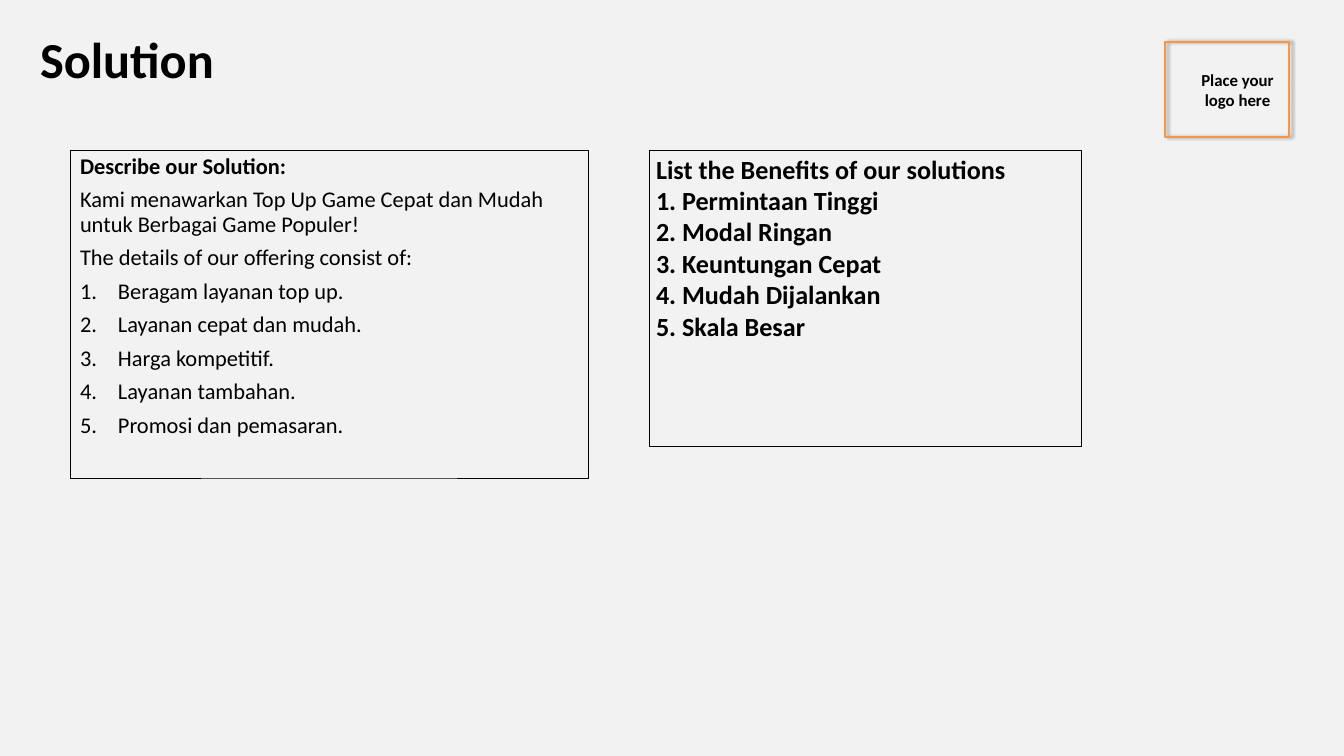
from lxml.etree import SubElement
from pptx import Presentation
from pptx.dml.color import RGBColor
from pptx.enum.shapes import MSO_SHAPE
from pptx.enum.text import MSO_ANCHOR, MSO_AUTO_SIZE, PP_ALIGN
from pptx.oxml import parse_xml
from pptx.oxml.ns import nsdecls, qn
from pptx.util import Pt

PX = 914400 / 67.2
SIZE = (1344, 756)
BLACK, ORANGE, GREY = "000000", "F79646", "F2F2F2"
HANG = 38

TITLE = "Solution"
LOGO = "Place your logo here"
OFFER_HEAD = "Describe our Solution:"
OFFER_INTRO = [
    "Kami menawarkan Top Up Game Cepat dan Mudah untuk Berbagai Game Populer!",
    "The details of our offering consist of:",
]
OFFER_ITEMS = [
    "Beragam layanan top up.",
    "Layanan cepat dan mudah.",
    "Harga kompetitif.",
    "Layanan tambahan.",
    "Promosi dan pemasaran.",
]
BENEFITS_HEAD = "List the Benefits of our solutions"
BENEFITS = [
    "Permintaan Tinggi",
    "Modal Ringan",
    "Keuntungan Cepat",
    "Mudah Dijalankan",
    "Skala Besar",
]

BOXES = {
    "title": (30, 2, 834, 87),
    "offer": (70, 150, 518, 328),
    "benefits": (649, 150, 432, 296),
    "logo": (1165, 42, 124, 95),
    "logo text": (1185, 67, 105, 46),
}
WIDE, NORMAL, SMALL = (10, 5), (7, 3), (5, 3)


def emu(px):
    return round(px * PX)


def rgb(value):
    return RGBColor.from_string(value)


def apply(obj, formats):
    for name, value in formats.items():
        setattr(obj, name, value)


def place(sp, name):
    apply(sp, dict(zip(("left", "top", "width", "height"), map(emu, BOXES[name]))))


def outline(sp, color, width):
    sp.fill.background()
    sp.line.color.rgb = rgb(color)
    sp.line.width = Pt(width)


def write(sp, paras, size, inset, **formats):
    tf = sp.text_frame
    x, y = map(emu, inset)
    apply(tf, {
        "word_wrap": True, "auto_size": MSO_AUTO_SIZE.NONE,
        "vertical_anchor": MSO_ANCHOR.TOP,
        "margin_left": x, "margin_right": x, "margin_top": y, "margin_bottom": y,
    })
    for i, (text, bold, numbered) in enumerate(paras):
        p = tf.add_paragraph() if i else tf.paragraphs[0]
        pPr = p._p.get_or_add_pPr()
        hang = emu(HANG) if numbered else 0
        pPr.set("marL", str(hang))
        pPr.set("indent", str(-hang))
        if numbered:
            SubElement(pPr, qn("a:buFont"), typeface="+mj-lt")
            SubElement(pPr, qn("a:buAutoNum"), type="arabicPeriod")
        else:
            SubElement(pPr, qn("a:buNone"))
        apply(p, {"alignment": PP_ALIGN.LEFT, "space_before": Pt(0), **formats})
        if i == 0:
            p.space_before = Pt(0)
        r = p.add_run()
        r.text = text
        apply(r.font, {"name": "Calibri", "size": Pt(size), "bold": bold})
        r.font.color.rgb = rgb(BLACK)


def add_shadow(sp):
    sp._element.spPr.append(parse_xml(
        f'<a:effectLst {nsdecls("a")}>'
        f'<a:outerShdw blurRad="{Pt(4)}" dist="{Pt(3)}" dir="0" algn="l" rotWithShape="0">'
        f'<a:srgbClr val="{BLACK}"><a:alpha val="40000"/></a:srgbClr>'
        '</a:outerShdw></a:effectLst>'))


def main():
    prs = Presentation()
    prs.slide_width, prs.slide_height = map(emu, SIZE)
    s = prs.slides.add_slide(prs.slide_layouts[3])
    s.background.fill.solid()
    s.background.fill.fore_color.rgb = rgb(GREY)
    title, offer, benefits = (s.placeholders[i] for i in range(3))

    place(title, "title")
    write(title, [(TITLE, True, False)], 54, WIDE, line_spacing=Pt(87.5))

    place(offer, "offer")
    outline(offer, BLACK, 0.75)
    paras = [(OFFER_HEAD, True, False)]
    paras += [(text, False, False) for text in OFFER_INTRO]
    paras += [(text, False, True) for text in OFFER_ITEMS]
    write(offer, paras, 24, WIDE, line_spacing=0.9, space_before=Pt(10))

    place(benefits, "benefits")
    outline(benefits, BLACK, 0.75)
    lines = [BENEFITS_HEAD] + [f"{n}. {text}" for n, text in enumerate(BENEFITS, 1)]
    write(benefits, [(text, True, False) for text in lines], 28, NORMAL)

    logo = s.shapes.add_shape(MSO_SHAPE.RECTANGLE, *map(emu, BOXES["logo"]))
    outline(logo, ORANGE, 2)
    add_shadow(logo)

    label = s.shapes.add_textbox(*map(emu, BOXES["logo text"]))
    write(label, [(LOGO, True, False)], 18, SMALL, alignment=PP_ALIGN.CENTER)

    prs.save("out.pptx")


if __name__ == "__main__":
    main()
